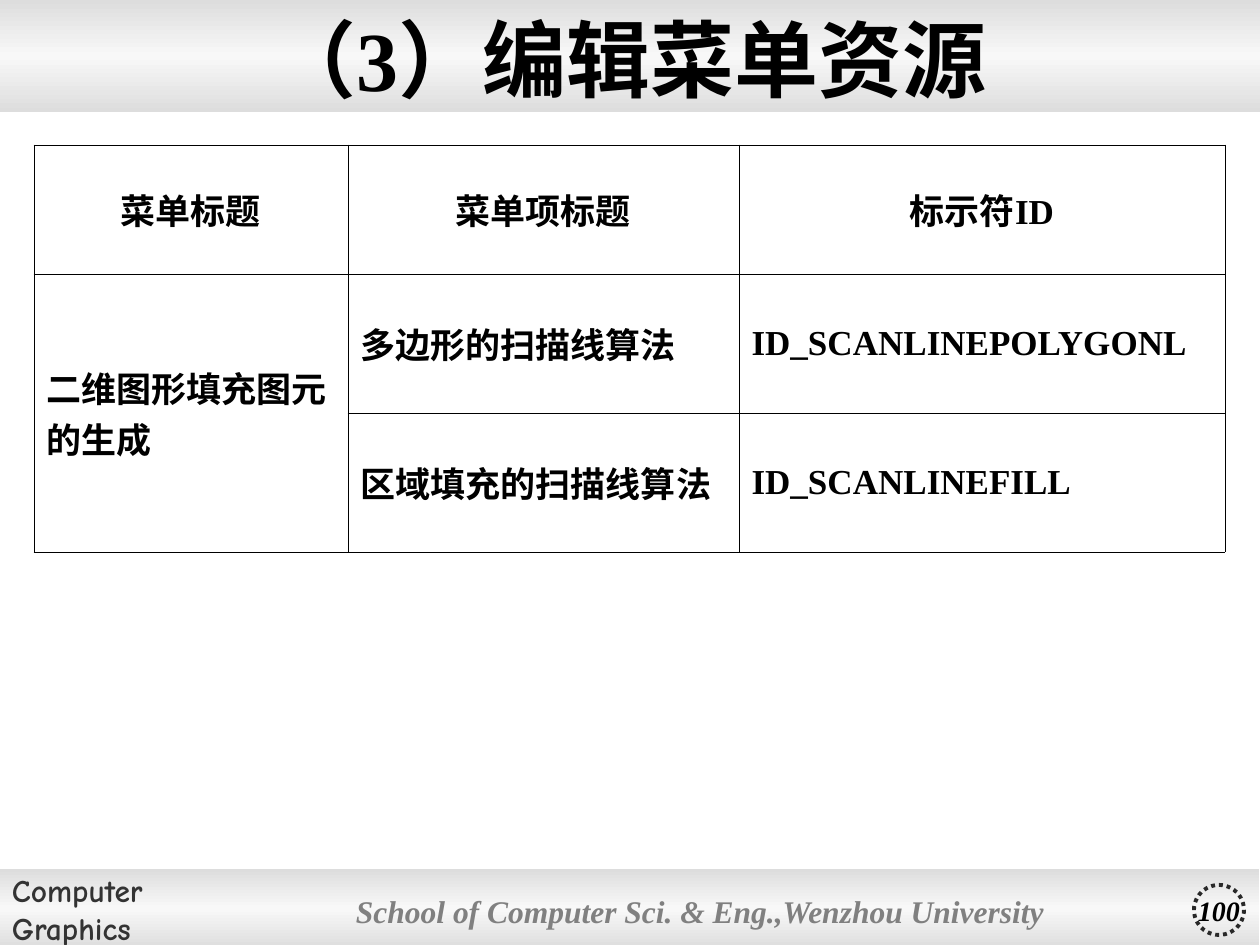
from copy import deepcopy

from lxml import etree
from pptx import Presentation
from pptx.dml.color import RGBColor
from pptx.enum.dml import MSO_LINE
from pptx.enum.lang import MSO_LANGUAGE_ID
from pptx.enum.shapes import MSO_SHAPE
from pptx.enum.text import MSO_ANCHOR, PP_ALIGN
from pptx.oxml.ns import qn
from pptx.util import Pt

SCALE = 914400 / 126
BLACK = RGBColor(0x00, 0x00, 0x00)
DARK = RGBColor(0x33, 0x33, 0x33)
RING = RGBColor(0x29, 0x29, 0x29)
GRAY = RGBColor(0x80, 0x80, 0x80)
EDGE = RGBColor(0xDD, 0xDD, 0xDD)
LIGHT = RGBColor(0xF8, 0xF8, 0xF8)
SERIF = "Times New Roman"
COMIC = "Comic Neue"
CHINESE = MSO_LANGUAGE_ID.SIMPLIFIED_CHINESE
RECT, OVAL = MSO_SHAPE.RECTANGLE, MSO_SHAPE.OVAL
LEFT, CENTER = PP_ALIGN.LEFT, PP_ALIGN.CENTER
MIDDLE = MSO_ANCHOR.MIDDLE
DOTS = MSO_LINE.ROUND_DOT


def px(n):
    return round(n * SCALE)


class Painter:
    def __init__(self, wide, high):
        self.deck = Presentation()
        self.deck.slide_width, self.deck.slide_height = px(wide), px(high)
        self.slide = self.deck.slides.add_slide(self.deck.slide_layouts[6])

    def fill_text(self, frame, lines, size, color=BLACK, font=SERIF,
                  align=LEFT, italic=False, before=None):
        for i, line in enumerate(lines):
            para = frame.add_paragraph() if i else frame.paragraphs[0]
            para.alignment = align
            if before:
                para.space_before = Pt(before)
            run = para.add_run()
            run.text = line
            run.font.size, run.font.name = Pt(size), font
            run.font.bold, run.font.italic = True, italic
            run.font.color.rgb = color
            run.font.language_id = CHINESE

    def text(self, box, lines, size, inset=(13, 6), **style):
        shape = self.slide.shapes.add_textbox(*map(px, box))
        frame = shape.text_frame
        frame.word_wrap, frame.vertical_anchor = True, MIDDLE
        frame.margin_left = frame.margin_right = px(inset[0])
        frame.margin_top = frame.margin_bottom = px(inset[1])
        self.fill_text(frame, lines, size, **style)

    def shape(self, kind, box):
        shape = self.slide.shapes.add_shape(kind, *map(px, box))
        shape.shadow.inherit = False
        return shape

    def band(self, box):
        """Draw a bar shaded from gray through near white to gray."""
        shape = self.shape(RECT, box)
        shape.line.fill.background()
        shape.fill.gradient()
        shape.fill.gradient_angle = 90
        stops = shape._element.spPr.find(".//" + qn("a:gsLst"))
        stops.insert(1, deepcopy(stops[0]))
        colors = (EDGE, LIGHT, EDGE)
        for i, stop in enumerate(shape.fill.gradient_stops):
            stop.position, stop.color.rgb = i / 2, colors[i]

    def badge(self, box, label):
        shape = self.shape(OVAL, box)
        shape.fill.background()
        shape.line.color.rgb = RING
        shape.line.width, shape.line.dash_style = Pt(2.25), DOTS
        frame = shape.text_frame
        frame.word_wrap, frame.vertical_anchor = False, MIDDLE
        self.fill_text(frame, [label], 16, align=CENTER, italic=True)

    def border(self, cell):
        props = cell._tc.get_or_add_tcPr()
        for side in ("lnL", "lnR", "lnT", "lnB"):
            line = etree.SubElement(props, qn("a:" + side), w=str(Pt(0.45)))
            fill = etree.SubElement(line, qn("a:solidFill"))
            etree.SubElement(fill, qn("a:srgbClr"), val=str(BLACK))

    def table(self, left, top, cols, rows, data):
        box = (left, top, sum(cols), sum(rows))
        table = self.slide.shapes.add_table(
            len(rows), len(cols), *map(px, box)).table
        table.horz_banding = table.first_row = False
        for col, wide in zip(table.columns, cols):
            col.width = px(wide)
        for row, high in zip(table.rows, rows):
            row.height = px(high)
        for r, line in enumerate(data):
            for c, label in enumerate(line):
                cell = table.cell(r, c)
                self.border(cell)
                cell.fill.background()
                cell.vertical_anchor = MIDDLE
                if label:
                    self.fill_text(cell.text_frame, [label], 20, before=5,
                                   align=LEFT if r else CENTER)
        return table


def main():
    page = Painter(1260, 945)
    page.band((-1, 869, 1260, 79))
    page.text((-1, 869, 300, 79), ["Computer", "Graphics"], 18,
              color=DARK, font=COMIC)
    page.band((0, 0, 1260, 112))
    page.text((350, 869, 755, 83),
              ["School of Computer Sci. & Eng.,Wenzhou University"], 18,
              inset=(6, 3), color=GRAY, italic=True)
    page.badge((1194, 885, 50, 50), "100")
    page.text((34, 10, 1191, 96), ["（3）编辑菜单资源"], 48, align=CENTER)
    table = page.table(34, 145, (314, 391, 486), (129, 139, 139), (
        ("菜单标题", "菜单项标题", "标示符ID"),
        ("二维图形填充图元的生成", "多边形的扫描线算法", "ID_SCANLINEPOLYGONL"),
        ("", "区域填充的扫描线算法", "ID_SCANLINEFILL"),
    ))
    table.cell(1, 0).merge(table.cell(2, 0))
    page.deck.save("out.pptx")


if __name__ == "__main__":
    main()
